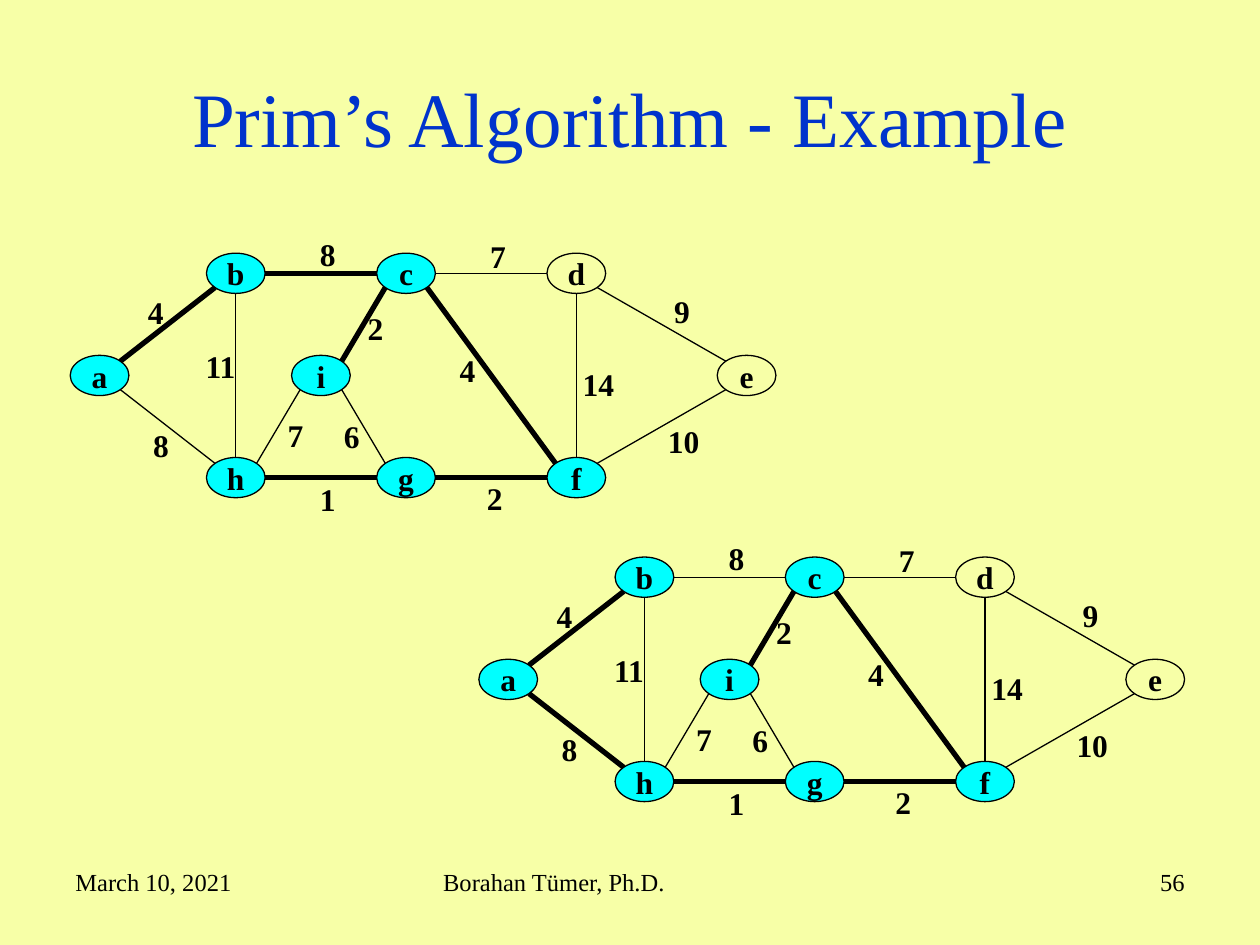
import math

import pptx
import pptx.dml.color
import pptx.enum.shapes
import pptx.enum.text
import pptx.oxml.ns
import pptx.util
from lxml import etree

RGBColor = pptx.dml.color.RGBColor
ALIGN = pptx.enum.text.PP_ALIGN
ANCHOR = pptx.enum.text.MSO_ANCHOR

PAPER = RGBColor(0xF7, 0xFF, 0xA7)
BLUE = RGBColor(0x00, 0x33, 0xCC)
CYAN = RGBColor(0x00, 0xFF, 0xFF)
BLACK = RGBColor(0x00, 0x00, 0x00)

GRID = 74  # columns and rows on the slide
NODE_W, NODE_H = 3.45, 3.15
THIN, THICK = 0.75, 3

# Columns and rows from node a
NODES = {
    "a": (0, 0), "b": (8, -8), "c": (18, -8), "d": (28, -8), "e": (38, 0),
    "i": (13, 0), "h": (8, 8), "g": (18, 8), "f": (28, 8),
}
# Edge: weight and the centre of its label
EDGES = {
    "ab": (4, 3.3, -4.9), "bc": (8, 13.4, -9.5), "cd": (7, 23.4, -9.3),
    "de": (9, 34.2, -5), "df": (14, 29.3, 0.7), "fe": (10, 34.3, 5.2),
    "cf": (4, 21.6, -0.4), "gf": (2, 23.2, 9.6), "ig": (6, 14.8, 4.8),
    "ic": (2, 16.2, -3.7), "bh": (11, 7.1, -0.7), "ah": (8, 3.6, 5.5),
    "hg": (1, 13.4, 9.7), "hi": (7, 11.5, 4.7),
}
REACHED = set("abcfghi")
# Position of node a, and the edges of the tree
GRAPHS = [
    (5.85, 29.4, {"ab", "bc", "ic", "cf", "gf", "hg"}),
    (29.85, 53.2, {"ab", "ah", "ic", "cf", "gf", "hg"}),
]


class SlideBuilder:
    """Places elements on the slide by grid column and row."""

    font_name = "Times New Roman"

    def __init__(self, prs):
        self.col = prs.slide_width / GRID
        self.row = prs.slide_height / GRID
        self.slide = prs.slides.add_slide(prs.slide_layouts[6])
        self.slide.background.fill.solid()
        self.slide.background.fill.fore_color.rgb = PAPER

    def x(self, cols):
        return round(cols * self.col)

    def y(self, rows):
        return round(rows * self.row)

    def box(self, left, top, width, height):
        return self.x(left), self.y(top), self.x(width), self.y(height)

    def set_text(self, sp, text, size, color=BLACK, bold=False,
                 align=ALIGN.LEFT, anchor=ANCHOR.TOP, wrap=True):
        tf = sp.text_frame
        tf.text = text
        tf.word_wrap = wrap
        tf.vertical_anchor = anchor
        p = tf.paragraphs[0]
        p.alignment = align
        font = p.runs[0].font
        font.name, font.size, font.bold = self.font_name, pptx.util.Pt(size), bold
        font.color.rgb = color

    def text(self, text, left, top, width, height, size, **style):
        sp = self.slide.shapes.add_textbox(*self.box(left, top, width, height))
        self.set_text(sp, text, size, **style)

    def weight(self, value, cx, cy):
        width = 2.45 if value < 10 else 3.35
        self.text(str(value), cx - width / 2, cy - 2, width, 4, 18,
                  bold=True, align=ALIGN.CENTER, wrap=False)

    def node(self, name, cx, cy, reached):
        sp = self.slide.shapes.add_shape(
            pptx.enum.shapes.MSO_SHAPE.OVAL,
            *self.box(cx - NODE_W / 2, cy - NODE_H / 2, NODE_W, NODE_H))
        sp.shadow.inherit = False
        if reached:
            sp.fill.solid()
            sp.fill.fore_color.rgb = CYAN
        else:
            sp.fill.background()
        sp.line.color.rgb = BLACK
        sp.line.width = pptx.util.Pt(THIN)
        self.set_text(sp, name, 18, bold=True, align=ALIGN.CENTER,
                      anchor=ANCHOR.MIDDLE, wrap=False)

    def edge(self, start, end, width):
        """Join two node centres, stopping at the nearest eighth of each oval."""
        dx, dy = ((b > a) - (b < a) for a, b in zip(start, end))
        reach = math.sqrt(0.5) if dx and dy else 1
        ox, oy = dx * reach * NODE_W / 2, dy * reach * NODE_H / 2
        line = self.slide.shapes.add_connector(
            pptx.enum.shapes.MSO_CONNECTOR.STRAIGHT,
            self.x(start[0] + ox), self.y(start[1] + oy),
            self.x(end[0] - ox), self.y(end[1] - oy))
        line.line.color.rgb = BLACK
        line.line.width = pptx.util.Pt(width)
        etree.SubElement(line._element.spPr, pptx.oxml.ns.qn("a:effectLst"))

    def graph(self, left, top, tree):
        places = {n: (left + c, top + r) for n, (c, r) in NODES.items()}
        for name, (cx, cy) in places.items():
            self.node(name, cx, cy, name in REACHED)
        for ends, (value, c, r) in EDGES.items():
            start, end = ends
            self.edge(places[start], places[end], THICK if ends in tree else THIN)
            self.weight(value, left + c, top + r)


def main():
    prs = pptx.Presentation()
    prs.slide_width = pptx.util.Inches(10)
    prs.slide_height = pptx.util.Inches(7.5)
    s = SlideBuilder(prs)
    s.text("March 10, 2021", 3.7, 67.4, 17.3, 5.1, 14)
    s.text("Borahan Tümer, Ph.D.", 25.3, 67.4, 23.4, 5.1, 14)
    s.text("56", 53, 67.4, 17.3, 5.1, 14, align=ALIGN.RIGHT)
    s.text("Prim’s Algorithm - Example", 3.7, 3, 66.6, 12.3, 44, color=BLUE,
           align=ALIGN.CENTER, anchor=ANCHOR.MIDDLE)
    for left, top, tree in GRAPHS:
        s.graph(left, top, tree)
    prs.save("out.pptx")


if __name__ == "__main__":
    main()
